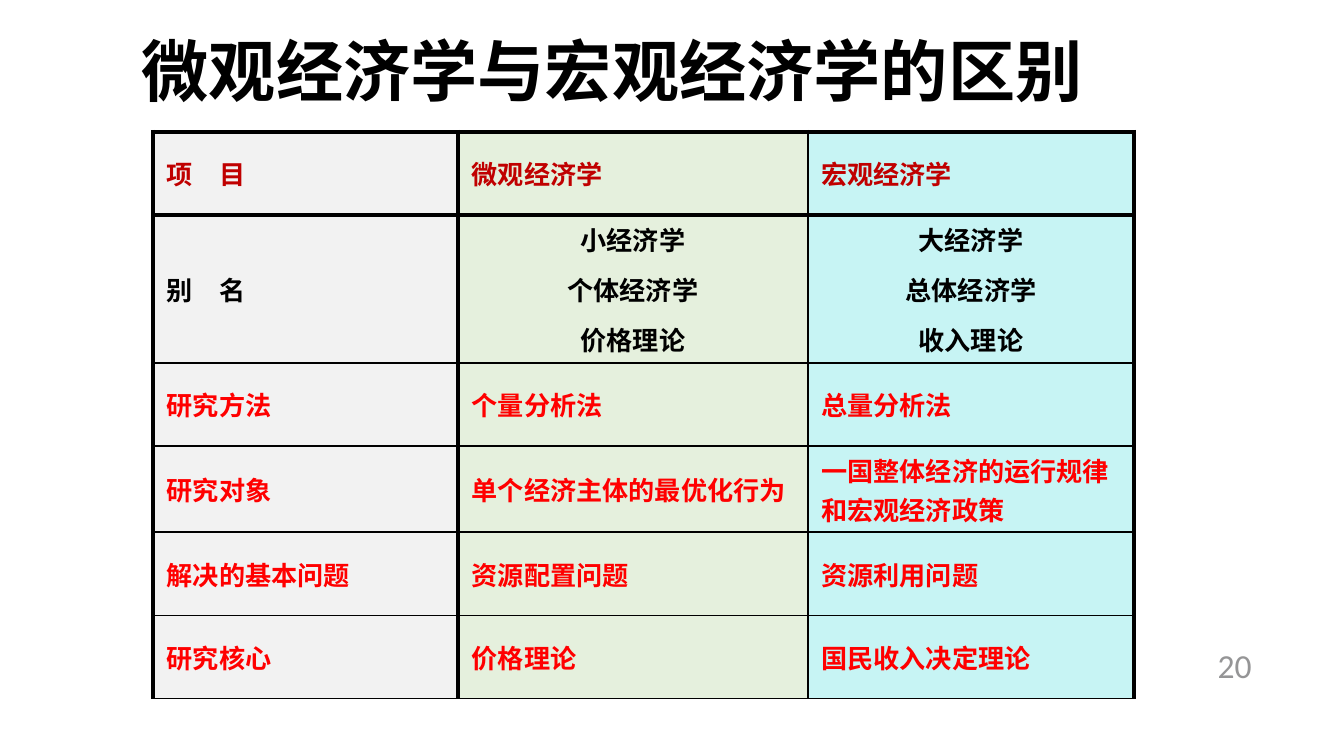
from lxml.etree import SubElement
from pptx import Presentation
from pptx.dml.color import RGBColor
from pptx.enum.text import MSO_ANCHOR as Anchor, PP_ALIGN as Align
from pptx.oxml.ns import qn
from pptx.util import Inches, Pt

COLORS = {
    "black": "000000",
    "dark_red": "C00000",
    "red": "FF0000",
    "number": "959596",
    "label": "F2F2F2",
    "micro": "E5F0DD",
    "macro": "C7F4F4",
}
CJK_FONT = "Noto Sans CJK SC"
THICK, THIN = 2.25, 1

HEADING = "微观经济学与宏观经济学的区别"
ROWS = [
    ("项　目", "微观经济学", "宏观经济学"),
    ("别　名", "小经济学\n个体经济学\n价格理论", "大经济学\n总体经济学\n收入理论"),
    ("研究方法", "个量分析法", "总量分析法"),
    ("研究对象", "单个经济主体的最优化行为", "一国整体经济的运行规律和宏观经济政策"),
    ("解决的基本问题", "资源配置问题", "资源利用问题"),
    ("研究核心", "价格理论", "国民收入决定理论"),
]
ROW_COLORS = ["dark_red", "black"] + ["red"] * 4
ROW_HEIGHTS = [0.62, 1.1, 0.62, 0.64, 0.62, 0.62]
COLUMN_WIDTHS = [2.27, 2.6, 2.43]
COLUMN_FILLS = ["label", "micro", "macro"]


def write(frame, text, size=14, font="Arial", color="black", bold=True,
          align=Align.LEFT, gap=0):
    frame.word_wrap = True
    for index, line in enumerate(text.split("\n")):
        para = frame.paragraphs[0] if index == 0 else frame.add_paragraph()
        para.alignment = align
        if index:
            para.space_before = Pt(gap)
        span = para.add_run()
        span.text = line
        span.font.size = Pt(size)
        span.font.name = font
        span.font.bold = bold
        span.font.color.rgb = RGBColor.from_string(COLORS[color])
        SubElement(span.font._element, qn("a:ea"), typeface=CJK_FONT)


def draw_borders(cell, widths):
    properties = cell._tc.get_or_add_tcPr()
    for index, (side, width) in enumerate(widths.items()):
        line = properties.makeelement(qn(f"a:ln{side}"), {"w": str(Pt(width))})
        fill = SubElement(line, qn("a:solidFill"))
        SubElement(fill, qn("a:srgbClr"), val=COLORS["black"])
        properties.insert(index, line)


class SlideBuilder:
    def __init__(self, page):
        self.page = page

    def text(self, left, top, width, height, text, inset=0.1,
             anchor=Anchor.TOP, **style):
        box = self.page.shapes.add_textbox(
            Inches(left), Inches(top), Inches(width), Inches(height))
        frame = box.text_frame
        frame.margin_left = Inches(inset)
        frame.vertical_anchor = anchor
        write(frame, text, **style)

    def table(self, left, top):
        table = self.page.shapes.add_table(
            len(ROWS), len(COLUMN_WIDTHS), Inches(left), Inches(top),
            Inches(sum(COLUMN_WIDTHS)), Inches(sum(ROW_HEIGHTS))).table
        for column, width in zip(table.columns, COLUMN_WIDTHS):
            column.width = Inches(width)
        for row, height in zip(table.rows, ROW_HEIGHTS):
            row.height = Inches(height)
        for r, texts in enumerate(ROWS):
            for c, text in enumerate(texts):
                self.cell(table.cell(r, c), r, c, text)

    def cell(self, cell, r, c, text):
        cell.margin_left = cell.margin_right = Inches(0.1)
        cell.margin_top = cell.margin_bottom = Inches(0.04)
        cell.vertical_anchor = Anchor.MIDDLE
        cell.fill.solid()
        cell.fill.fore_color.rgb = RGBColor.from_string(COLORS[COLUMN_FILLS[c]])
        write(cell.text_frame, text, color=ROW_COLORS[r], gap=6.3,
              align=Align.CENTER if "\n" in text else Align.LEFT)
        draw_borders(cell, {
            "L": THIN if c == 2 else THICK,
            "R": THIN if c == 1 else THICK,
            "T": THICK if r < 2 else THIN,
            "B": THICK if r == 0 else THIN,
        })


def main():
    deck = Presentation()
    deck.slide_width = Inches(10)
    deck.slide_height = deck.slide_width * 9 // 16
    slide = SlideBuilder(deck.slides.add_slide(deck.slide_layouts[6]))
    slide.text(0.47, 0.2, 8.17, 0.64, HEADING, anchor=Anchor.MIDDLE,
               size=36, font=CJK_FONT, align=Align.CENTER)
    slide.table(1.14, 0.98)
    slide.text(8.91, 4.75, 0.56, 0.38, "20", inset=0.15,
               size=18, font="Calibri", color="number", bold=False)
    deck.save("out.pptx")


if __name__ == "__main__":
    main()
